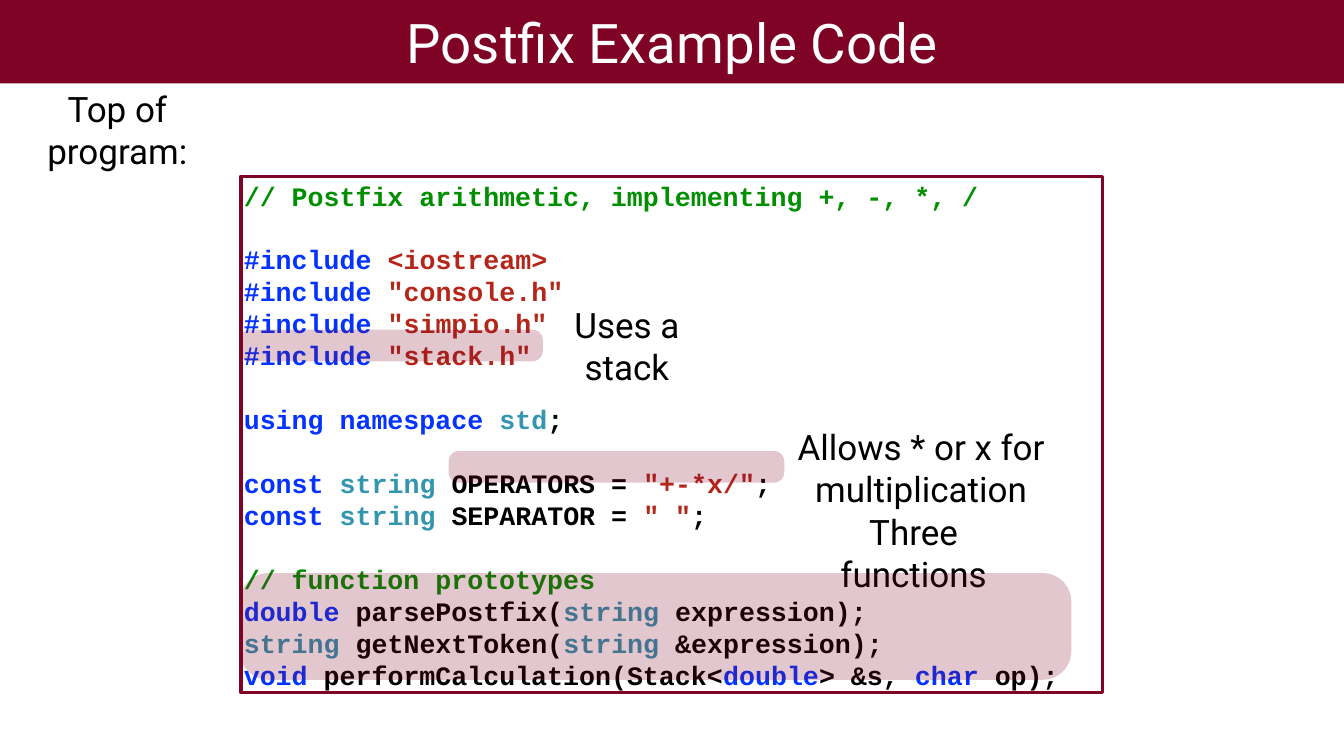
from lxml.etree import SubElement
from pptx import Presentation
from pptx.dml.color import RGBColor
from pptx.enum.shapes import MSO_SHAPE
from pptx.enum.text import MSO_ANCHOR, PP_ALIGN
from pptx.oxml.ns import qn
from pptx.util import Cm, Pt

MAROON = RGBColor(0x7F, 0x03, 0x25)
WHITE = RGBColor(0xFF, 0xFF, 0xFF)
BLACK = RGBColor(0x00, 0x00, 0x00)
COMMENT = RGBColor(0x00, 0x8F, 0x00)
KEYWORD = RGBColor(0x04, 0x33, 0xFF)
LITERAL = RGBColor(0xB4, 0x26, 0x1A)
TYPE = RGBColor(0x34, 0x95, 0xAF)

LINE_HEIGHT = Pt(45.7)
LABEL_HEIGHT = 4.47

HEADERS = ["<iostream>", '"console.h"', '"simpio.h"', '"stack.h"']
CONSTANTS = [("OPERATORS", '"+-*x/"'), ("SEPARATOR", '" "')]

# Blocks of code lines; each line is a list of (text, colour) parts
CODE_BLOCKS = [
    [[("// Postfix arithmetic, implementing +, -, *, /", COMMENT)]],
    [[("#include ", KEYWORD), (header, LITERAL)] for header in HEADERS],
    [[("using namespace ", KEYWORD), ("std", TYPE), (";", BLACK)]],
    [[("const ", KEYWORD), ("string", TYPE), (f" {name} = ", BLACK),
      (value, LITERAL), (";", BLACK)] for name, value in CONSTANTS],
    [
        [("// function prototypes", COMMENT)],
        [("double", KEYWORD), (" parsePostfix(", BLACK),
         ("string", TYPE), (" expression);", BLACK)],
        [("string", TYPE), (" getNextToken(", BLACK),
         ("string", TYPE), (" &expression);", BLACK)],
        [("void", KEYWORD), (" performCalculation(Stack<", BLACK),
         ("double", KEYWORD), ("> &s, ", BLACK),
         ("char", KEYWORD), (" op);", BLACK)],
    ],
]

# Left, top and width of each label, relative to the code box
LABELS = [
    ("Uses a stack", 15.46, 6.28, 8),
    ("Allows * or x for multiplication", 27.61, 12.42, 13.36),
    ("Three functions", 29.91, 16.71, 8),
]

# Left, top, width, height and corner radius, relative to the code box
HIGHLIGHTS = [
    (-0.05, 7.72, 15.27, 1.6, 0.33),
    (10.47, 13.84, 16.92, 1.6, 0.33),
    (-0.05, 19.99, 41.91, 5.38, 0.27),
]


def add_text(paragraph, text, *, size, font="Roboto", color=BLACK, bold=False):
    run = paragraph.add_run()
    run.text = text
    run.font.size = Pt(size)
    run.font.name = font
    run.font.color.rgb = color
    run.font.bold = bold


def set_frame(shape, anchor):
    frame = shape.text_frame
    frame.word_wrap = True
    frame.vertical_anchor = anchor
    frame.margin_left = frame.margin_right = Cm(0.15)
    frame.margin_top = frame.margin_bottom = Cm(0.15)
    return frame


def add_box(slide, kind, box, fill=None):
    shape = slide.shapes.add_shape(kind, *[Cm(length) for length in box])
    shape.shadow.inherit = False
    shape.line.fill.background()
    if fill is None:
        shape.fill.background()
    else:
        shape.fill.solid()
        shape.fill.fore_color.rgb = fill
    return shape


def add_title_bar(slide, box):
    bar = add_box(slide, MSO_SHAPE.RECTANGLE, box, MAROON)
    paragraph = set_frame(bar, MSO_ANCHOR.MIDDLE).paragraphs[0]
    paragraph.alignment = PP_ALIGN.CENTER
    add_text(paragraph, "Postfix Example Code", size=78, color=WHITE)


def add_label(slide, text, box):
    label = slide.shapes.add_textbox(*[Cm(length) for length in box])
    paragraph = set_frame(label, MSO_ANCHOR.MIDDLE).paragraphs[0]
    paragraph.alignment = PP_ALIGN.CENTER
    add_text(paragraph, text, size=50)


def add_highlight(slide, box, radius):
    highlight = add_box(slide, MSO_SHAPE.ROUNDED_RECTANGLE, box, MAROON)
    highlight.adjustments[0] = radius
    color = highlight.fill._xPr.find(qn("a:solidFill"))[0]
    SubElement(color, qn("a:alpha"), val="22000")


def add_code(slide, box):
    listing = add_box(slide, MSO_SHAPE.RECTANGLE, box)
    listing.line.color.rgb = MAROON
    listing.line.width = Pt(5)
    frame = set_frame(listing, MSO_ANCHOR.TOP)
    paragraph = None
    for block in CODE_BLOCKS:
        for index, line in enumerate(block):
            first = paragraph is None
            paragraph = frame.paragraphs[0] if first else frame.add_paragraph()
            paragraph.alignment = PP_ALIGN.LEFT
            paragraph.line_spacing = LINE_HEIGHT
            # One line of space separates the blocks
            if index == 0 and not first:
                paragraph.space_before = LINE_HEIGHT
            for text, color in line:
                add_text(paragraph, text, size=38, font="Courier New",
                         color=color, bold=True)


def add_annotated_code(slide, box):
    left, top = box[:2]
    add_code(slide, box)
    for text, x, y, width in LABELS:
        add_label(slide, text, (left + x, top + y, width, LABEL_HEIGHT))
    for x, y, width, height, radius in HIGHLIGHTS:
        add_highlight(slide, (left + x, top + y, width, height), radius)


def main():
    presentation = Presentation()
    presentation.slide_width = Cm(67.74)
    presentation.slide_height = Cm(38.1)
    slide = presentation.slides.add_slide(presentation.slide_layouts[6])

    add_title_bar(slide, (-0.15, -0.03, 68.05, 4.24))
    add_label(slide, "Top of program:", (1.92, 4.27, 8, LABEL_HEIGHT))
    add_annotated_code(slide, (12.14, 8.89, 43.43, 26.01))

    presentation.save("out.pptx")


if __name__ == "__main__":
    main()
